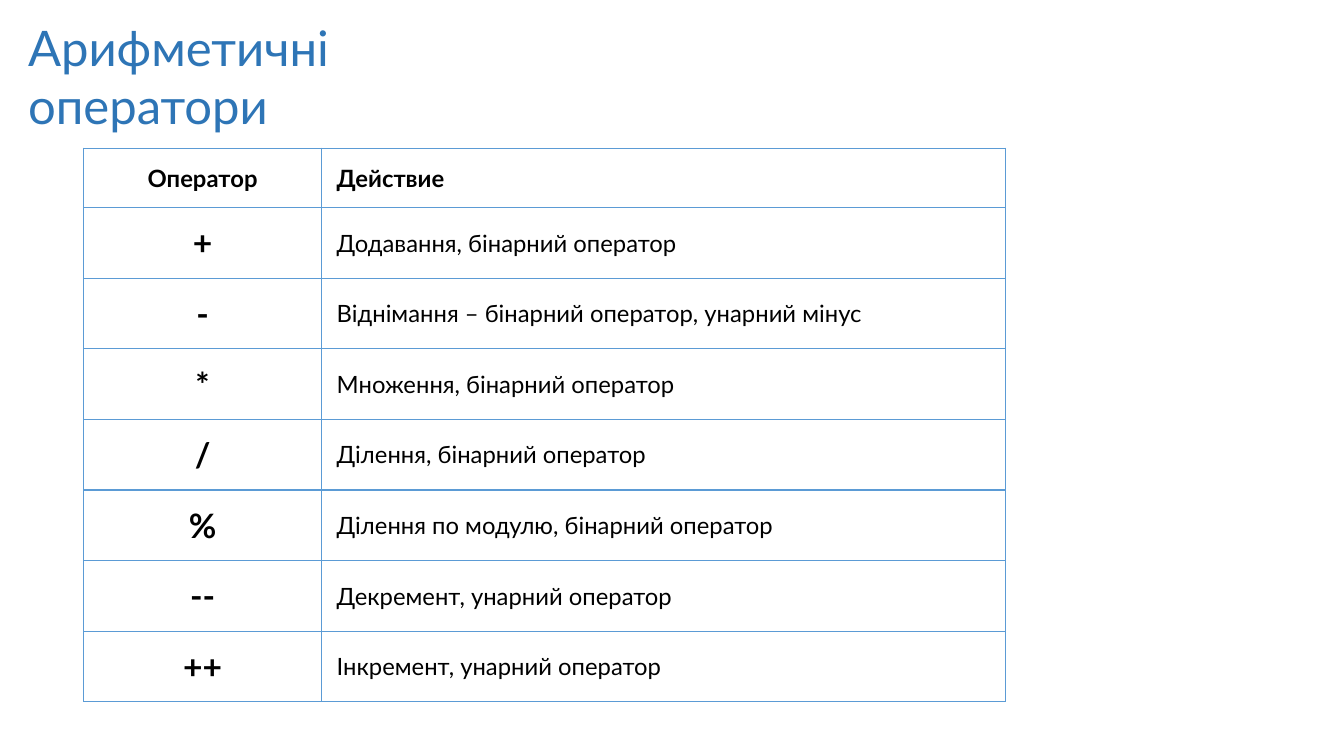
import dataclasses

import lxml.etree
import pptx
import pptx.dml.color
import pptx.enum.text
import pptx.oxml.ns
import pptx.util

Inches = pptx.util.Inches
Align = pptx.enum.text.PP_ALIGN
FONT_NAME = "Lato"
BORDER_COLOUR = "5B9BD5"
COLUMN_WIDTHS = (2.36, 6.78)
HEADER_HEIGHT, OPERATOR_HEIGHT = 0.59, 0.7


@dataclasses.dataclass
class Row:
    symbol: str
    action: str
    symbol_size: int = 24
    action_bold: bool = False
    height: float = OPERATOR_HEIGHT


ROWS = [
    Row("Оператор", "Действие", 17, True, HEADER_HEIGHT),
    Row("+", "Додавання, бінарний оператор"),
    Row("-", "Віднімання – бінарний оператор, унарний мінус"),
    Row("*", "Множення, бінарний оператор"),
    Row("/", "Ділення, бінарний оператор"),
    Row("%", "Ділення по модулю, бінарний оператор"),
    Row("--", "Декремент, унарний оператор"),
    Row("++", "Інкремент, унарний оператор"),
]


def colour(value: str) -> pptx.dml.color.RGBColor:
    return pptx.dml.color.RGBColor.from_string(value)


def apply_format(target, values: dict) -> None:
    for name, value in values.items():
        setattr(target, name, value)


def write_text(text_frame, text: str, size: int, text_colour: str,
               bold: bool = False, alignment=Align.LEFT) -> None:
    paragraph = text_frame.paragraphs[0]
    paragraph.alignment = alignment
    run = paragraph.add_run()
    run.text = text
    apply_format(run.font, {"name": FONT_NAME, "size": pptx.util.Pt(size), "bold": bold})
    run.font.color.rgb = colour(text_colour)


def add_borders(cell) -> None:
    """Draw a one-point line on all four sides of the cell."""
    properties = cell._tc.get_or_add_tcPr()
    for position, side in enumerate(("lnL", "lnR", "lnT", "lnB")):
        line = lxml.etree.Element(pptx.oxml.ns.qn(f"a:{side}"), w=str(pptx.util.Pt(1)))
        fill = lxml.etree.SubElement(line, pptx.oxml.ns.qn("a:solidFill"))
        lxml.etree.SubElement(fill, pptx.oxml.ns.qn("a:srgbClr"), val=BORDER_COLOUR)
        properties.insert(position, line)


def fill_cell(cell, text: str, size: int, bold: bool, alignment) -> None:
    inset = Inches(0.15)
    apply_format(cell, {
        "margin_left": inset, "margin_right": inset,
        "margin_top": inset, "margin_bottom": inset,
        "vertical_anchor": pptx.enum.text.MSO_ANCHOR.MIDDLE,
    })
    cell.fill.background()
    add_borders(cell)
    write_text(cell.text_frame, text, size, "000000", bold, alignment)


def add_title(slide) -> None:
    box = slide.shapes.add_textbox(Inches(0.18), Inches(0.12), Inches(5.68), Inches(1.28))
    apply_format(box.text_frame, {"word_wrap": True, "margin_right": Inches(1)})
    write_text(box.text_frame, "Арифметичні оператори", 35, "2E75B6")


def add_operator_table(slide) -> None:
    frame = slide.shapes.add_table(
        len(ROWS), len(COLUMN_WIDTHS), Inches(0.83), Inches(1.47),
        Inches(sum(COLUMN_WIDTHS)), Inches(sum(row.height for row in ROWS)))
    table = frame.table
    apply_format(table, {"first_row": False, "horz_banding": False})
    for column, width in zip(table.columns, COLUMN_WIDTHS):
        column.width = Inches(width)
    for index, row in enumerate(ROWS):
        table.rows[index].height = Inches(row.height)
        fill_cell(table.cell(index, 0), row.symbol, row.symbol_size, True, Align.CENTER)
        fill_cell(table.cell(index, 1), row.action, 17, row.action_bold, Align.LEFT)


def main() -> None:
    presentation = pptx.Presentation()
    apply_format(presentation, {"slide_width": Inches(13.33), "slide_height": Inches(7.5)})
    slide = presentation.slides.add_slide(presentation.slide_layouts[6])
    add_title(slide)
    add_operator_table(slide)
    presentation.save("out.pptx")


if __name__ == "__main__":
    main()
